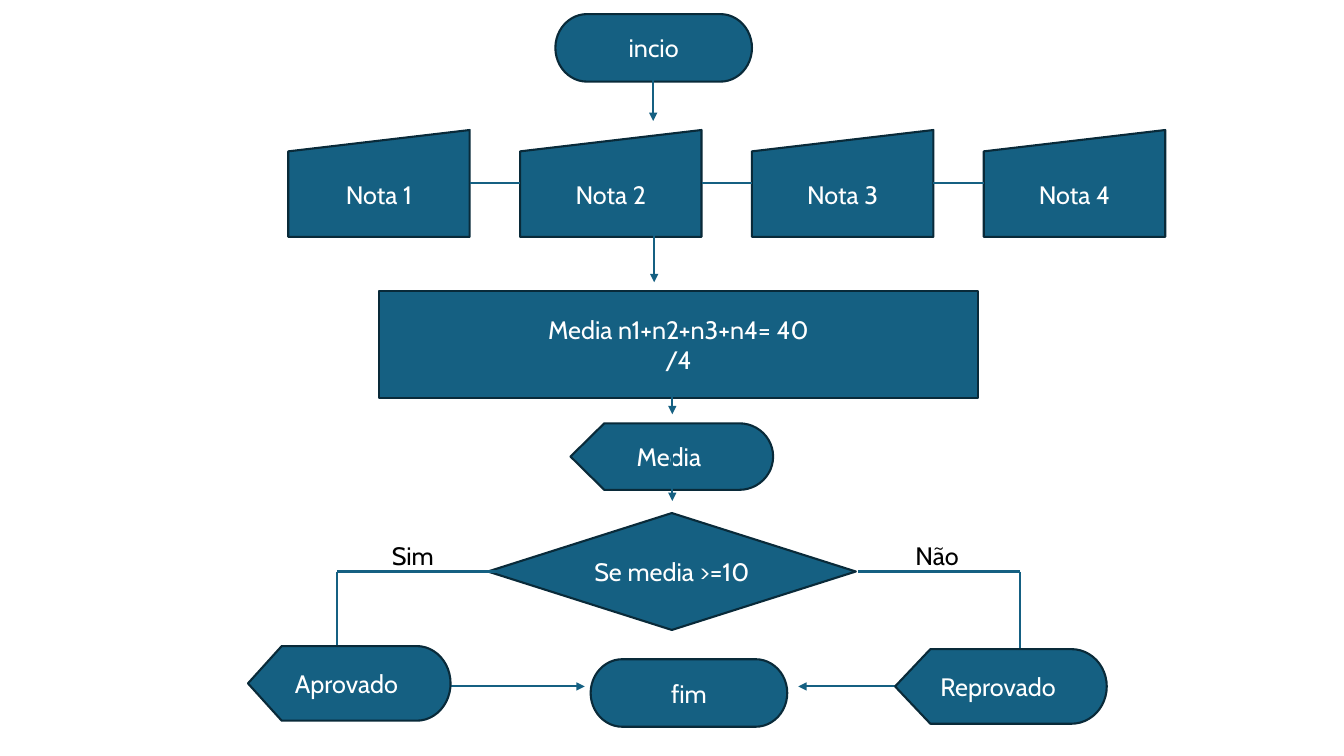
from lxml.etree import SubElement
from pptx import Presentation
from pptx.dml.color import RGBColor
from pptx.enum.shapes import MSO_CONNECTOR, MSO_SHAPE
from pptx.enum.text import MSO_ANCHOR, PP_ALIGN
from pptx.oxml.ns import qn
from pptx.util import Inches, Pt

FONT = "Cabin"
TEAL, DARK_TEAL, WHITE, BLACK = "156082", "092A39", "FFFFFF", "000000"
LEFT, RIGHT = 1, 3

# The layout grid has square cells of a tenth of an inch.
SLIDE_COLUMNS, SLIDE_ROWS = 133.33, 75
LINE_WIDTH = Pt(1.5)
NOTE_LEFT, NOTE_TOP, NOTE_PITCH = 28.6, 12.9, 23
TERMINATOR_SIZE = (19.5, 6.7)
LABEL_TOP, LABEL_SIZE = 53.5, (10.1, 3.2)
BRANCH_ROW, YES_COLUMN, NO_COLUMN = 56.7, 33.4, 101.2
END_ROW = 68.1


def cells(count):
    return Inches(count / 10)


def colour(hex_text):
    return RGBColor.from_string(hex_text)


def write_text(box, lines, text_colour):
    frame = box.text_frame
    frame.word_wrap = True
    frame.vertical_anchor = MSO_ANCHOR.MIDDLE
    for index, line in enumerate(lines):
        para = frame.add_paragraph() if index else frame.paragraphs[0]
        para.alignment = PP_ALIGN.CENTER
        span = para.add_run()
        span.text = line
        span.font.name = FONT
        span.font.size = Pt(18)
        span.font.color.rgb = colour(text_colour)


def add_step(page, kind, corner, size, *lines):
    """Add a filled flowchart symbol with one paragraph per line."""
    box = page.shapes.add_shape(kind, *map(cells, corner + size))
    box.shadow.inherit = False
    box.fill.solid()
    box.fill.fore_color.rgb = colour(TEAL)
    box.line.color.rgb = colour(DARK_TEAL)
    box.line.width = LINE_WIDTH
    write_text(box, lines, WHITE)
    return box


def add_label(page, left, text):
    box = page.shapes.add_textbox(*map(cells, (left, LABEL_TOP) + LABEL_SIZE))
    write_text(box, [text], BLACK)


def add_line(page, start, end, arrow=False):
    line = page.shapes.add_connector(
        MSO_CONNECTOR.STRAIGHT, *map(cells, start + end))
    line.line.color.rgb = colour(TEAL)
    line.line.width = LINE_WIDTH
    if arrow:
        SubElement(line.line._get_or_add_ln(), qn("a:tailEnd"), type="triangle")
    SubElement(line._element.spPr, qn("a:effectLst"))
    return line


def add_down_arrow(page, column, top, bottom):
    add_line(page, (column, top), (column, bottom), arrow=True)


def add_notes(page):
    """Add the four grade inputs and join each to the next."""
    notes = [
        add_step(page, MSO_SHAPE.FLOWCHART_MANUAL_INPUT,
                 (NOTE_LEFT + index * NOTE_PITCH, NOTE_TOP), (18, 10.6),
                 f"Nota {index + 1}")
        for index in range(4)
    ]
    for note, following in zip(notes, notes[1:]):
        link = add_line(page, (0, 0), (0, 0))
        link.begin_connect(note, RIGHT)
        link.end_connect(following, LEFT)


def add_calculation(page):
    add_step(page, MSO_SHAPE.RECTANGLE, (37.6, 28.9), (59.4, 10.6),
             "Media n1+n2+n3+n4= 40", "/4")
    add_down_arrow(page, 64.9, 22.2, 28)
    add_step(page, MSO_SHAPE.FLOWCHART_DISPLAY, (56.6, 42), (20.1, 6.6), "Media ")
    add_down_arrow(page, 66.7, 37.5, 41.1)
    add_down_arrow(page, 66.7, 43.9, 49.7)


def add_decision(page):
    add_step(page, MSO_SHAPE.FLOWCHART_DECISION, (48.4, 50.9), (36.5, 11.6),
             "Se media >=10")
    add_label(page, 35.9, "Sim")
    add_label(page, 88.2, "Não ")
    for column, inner, bottom in ((YES_COLUMN, 49.4, 64.1),
                                  (NO_COLUMN, 85.1, 67.2)):
        add_line(page, (inner, BRANCH_ROW), (column, BRANCH_ROW))
        add_line(page, (column, BRANCH_ROW), (column, bottom))


def add_results(page):
    add_line(page, (44.5, END_ROW), (58, END_ROW), arrow=True)
    add_line(page, (90.6, END_ROW), (79.2, END_ROW), arrow=True)
    add_step(page, MSO_SHAPE.FLOWCHART_DISPLAY, (24.6, 64.1), (20.1, 7.4),
             "Aprovado ")
    add_step(page, MSO_SHAPE.FLOWCHART_DISPLAY, (88.8, 64.4), (21, 7.4),
             "Reprovado ")
    add_step(page, MSO_SHAPE.FLOWCHART_TERMINATOR, (58.6, 65.4),
             TERMINATOR_SIZE, "fim")


def main():
    deck = Presentation()
    deck.slide_width, deck.slide_height = cells(SLIDE_COLUMNS), cells(SLIDE_ROWS)
    page = deck.slides.add_slide(deck.slide_layouts[6])
    add_step(page, MSO_SHAPE.FLOWCHART_TERMINATOR, (55.1, 1.4),
             TERMINATOR_SIZE, "incio")
    add_down_arrow(page, 64.8, 6.2, 12)
    add_notes(page)
    add_calculation(page)
    add_decision(page)
    add_results(page)
    deck.save("out.pptx")


if __name__ == "__main__":
    main()
